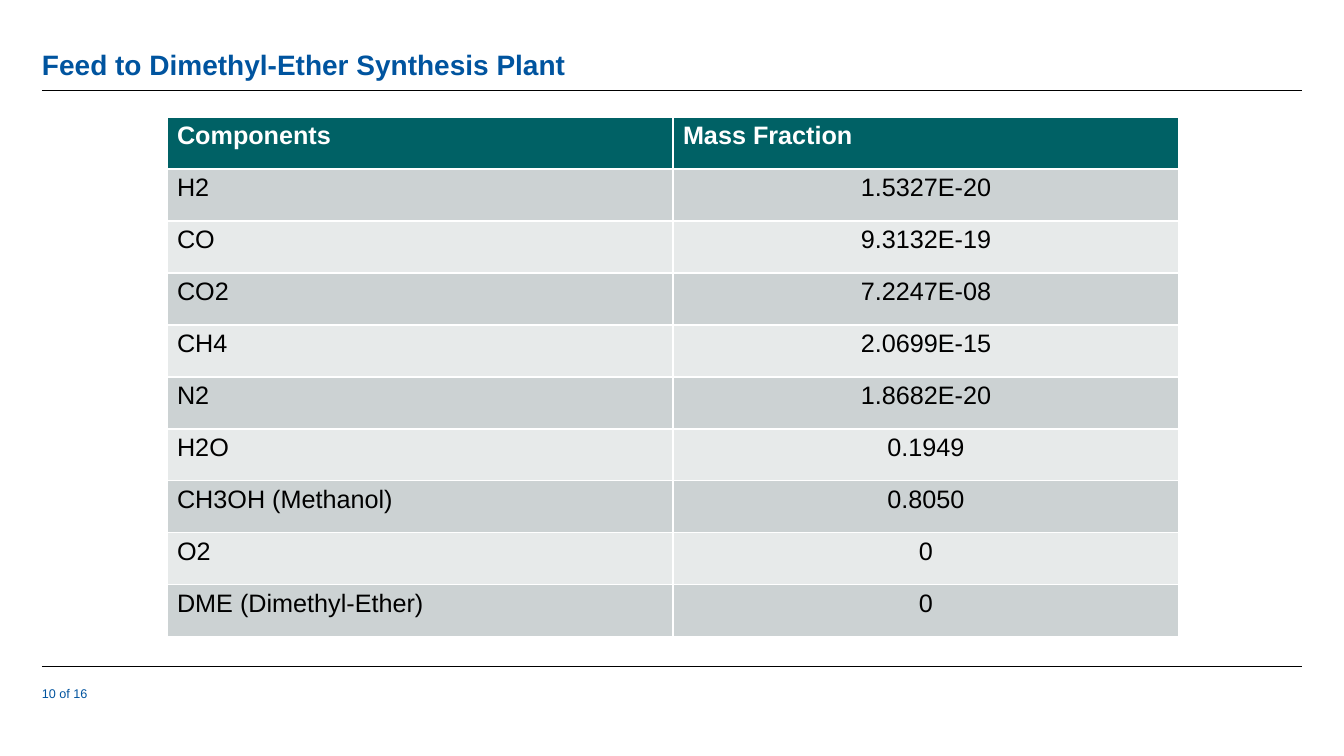
from dataclasses import dataclass

from lxml.etree import SubElement
from pptx import Presentation
from pptx.dml.color import RGBColor
from pptx.enum.text import MSO_ANCHOR, MSO_AUTO_SIZE, PP_ALIGN
from pptx.oxml.ns import qn
from pptx.slide import Slide
from pptx.table import _Cell as Cell
from pptx.text.text import TextFrame
from pptx.util import Emu, Pt

SLIDE_WIDTH, SLIDE_HEIGHT = 1344, 756
LEFT, RIGHT = 42, 1302
RULE_HEIGHTS = (90, 666)
TABLE_LEFT, TABLE_TOP = 167, 117
COLUMN_WIDTH, ROW_HEIGHT = 506, 52
FONT = "Arial"
COLORS = {
    "blue": "00549F",
    "teal": "006165",
    "dark band": "CCD2D3",
    "light band": "E7EAEA",
    "white": "FFFFFF",
    "black": "000000",
}


@dataclass(frozen=True)
class Component:
    name: str
    mass_fraction: str


FEED = [
    Component("H2", "1.5327E-20"),
    Component("CO", "9.3132E-19"),
    Component("CO2", "7.2247E-08"),
    Component("CH4", "2.0699E-15"),
    Component("N2", "1.8682E-20"),
    Component("H2O", "0.1949"),
    Component("CH3OH (Methanol)", "0.8050"),
    Component("O2", "0"),
    Component("DME (Dimethyl-Ether)", "0"),
]


def px(length: int) -> Emu:
    """Convert pixels, 100.8 to the inch, into EMU."""
    return Emu(round(length * 914400 / 100.8))


def rgb(color: str) -> RGBColor:
    return RGBColor.from_string(COLORS[color])


def write(frame: TextFrame, text: str, size: int, color: str,
          bold: bool = False, align: PP_ALIGN = PP_ALIGN.LEFT) -> None:
    frame.text = text
    paragraph = frame.paragraphs[0]
    paragraph.alignment = align
    font = paragraph.font
    font.name, font.size, font.bold = FONT, Pt(size), bold
    font.color.rgb = rgb(color)


def clear_margins(frame: TextFrame) -> None:
    frame.margin_left = frame.margin_top = 0
    frame.margin_right = frame.margin_bottom = 0


def add_rule(slide: Slide, y: int) -> None:
    rule = slide.shapes.add_connector(1, px(LEFT), px(y), px(RIGHT), px(y))
    rule.line.color.rgb = rgb("black")
    rule.line.width = Pt(0.5)
    SubElement(rule._element.spPr, qn("a:effectLst"))


def add_title(slide: Slide, text: str) -> None:
    title = slide.shapes.title
    title.left, title.top = px(LEFT), px(22)
    title.width, title.height = px(RIGHT - LEFT), px(60)
    frame = title.text_frame
    clear_margins(frame)
    frame.vertical_anchor = MSO_ANCHOR.BOTTOM
    frame.auto_size = MSO_AUTO_SIZE.NONE
    write(frame, text, 20, "blue", bold=True)
    frame.paragraphs[0].line_spacing = 0.9


def add_page_number(slide: Slide, text: str) -> None:
    box = slide.shapes.add_textbox(px(LEFT), px(686), px(108), px(43))
    frame = box.text_frame
    frame.word_wrap = True
    clear_margins(frame)
    write(frame, text, 9, "blue")


def fill_cell(cell: Cell, color: str) -> None:
    cell.fill.solid()
    cell.fill.fore_color.rgb = rgb(color)


def add_feed_table(slide: Slide, headings: tuple[str, str],
                   feed: list[Component]) -> None:
    row_count = len(feed) + 1
    table = slide.shapes.add_table(
        row_count, 2, px(TABLE_LEFT), px(TABLE_TOP),
        px(2 * COLUMN_WIDTH), px(row_count * ROW_HEIGHT)).table
    for column in table.columns:
        column.width = px(COLUMN_WIDTH)
    for row in table.rows:
        row.height = px(ROW_HEIGHT)

    for cell, heading in zip(table.rows[0].cells, headings):
        fill_cell(cell, "teal")
        write(cell.text_frame, heading, 18, "white", bold=True)

    for index, component in enumerate(feed, start=1):
        name_cell, fraction_cell = table.rows[index].cells
        band = "dark band" if index % 2 else "light band"
        fill_cell(name_cell, band)
        fill_cell(fraction_cell, band)
        write(name_cell.text_frame, component.name, 18, "black")
        write(fraction_cell.text_frame, component.mass_fraction, 18, "black",
              align=PP_ALIGN.CENTER)


def main() -> None:
    deck = Presentation()
    deck.slide_width, deck.slide_height = px(SLIDE_WIDTH), px(SLIDE_HEIGHT)
    slide = deck.slides.add_slide(deck.slide_layouts.get_by_name("Title Only"))
    for y in RULE_HEIGHTS:
        add_rule(slide, y)
    add_title(slide, "Feed to Dimethyl-Ether Synthesis Plant")
    add_page_number(slide, "10 of 16")
    add_feed_table(slide, ("Components", "Mass Fraction"), FEED)
    deck.save("out.pptx")


if __name__ == "__main__":
    main()
